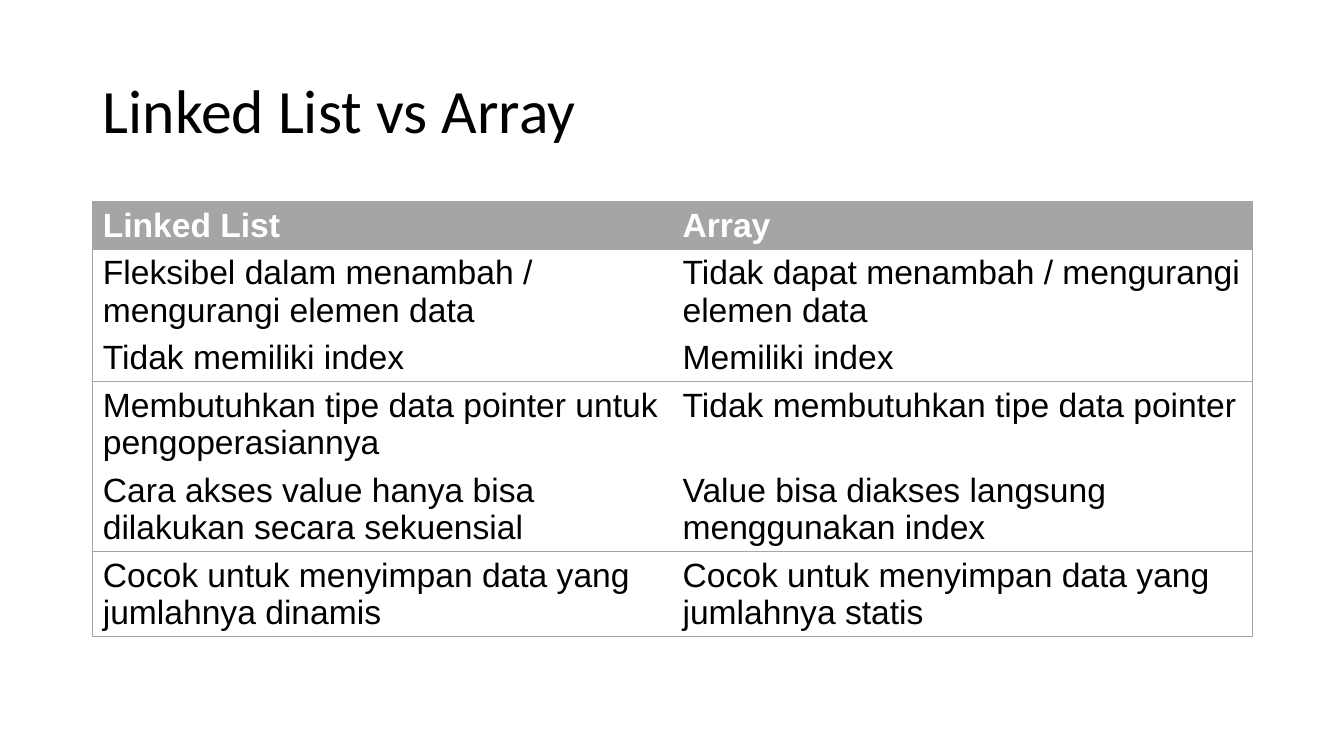
from lxml.etree import SubElement
from pptx import Presentation
from pptx.dml.color import RGBColor
from pptx.enum.text import MSO_ANCHOR, PP_ALIGN
from pptx.oxml.ns import qn
from pptx.util import Inches, Pt

COLORS = {"grey": "A5A5A5", "white": "FFFFFF", "black": "000000"}

ROWS = [
    ("Linked List", "Array"),
    ("Fleksibel dalam menambah / mengurangi elemen data",
     "Tidak dapat menambah / mengurangi elemen data"),
    ("Tidak memiliki index", "Memiliki index"),
    ("Membutuhkan tipe data pointer untuk pengoperasiannya",
     "Tidak membutuhkan tipe data pointer"),
    ("Cara akses value hanya bisa dilakukan secara sekuensial",
     "Value bisa diakses langsung menggunakan index"),
    ("Cocok untuk menyimpan data yang jumlahnya dinamis",
     "Cocok untuk menyimpan data yang jumlahnya statis"),
]


def add_run(paragraph, text, font_name, size, color, bold=False):
    run = paragraph.add_run()
    run.text = text
    run.font.name = font_name
    run.font.size = Pt(size)
    run.font.bold = bold
    run.font.color.rgb = RGBColor.from_string(COLORS[color])


def set_borders(cell, visible_sides):
    properties = cell._tc.get_or_add_tcPr()
    for side in "LRTB":
        line = SubElement(properties, qn(f"a:ln{side}"), w=str(Pt(0.75)))
        if side in visible_sides:
            fill = SubElement(line, qn("a:solidFill"))
            SubElement(fill, qn("a:srgbClr"), val=COLORS["grey"])
        else:
            SubElement(line, qn("a:noFill"))


def add_title(slide, left, top, width, height):
    title = slide.shapes.title
    title.left, title.top, title.width, title.height = left, top, width, height
    frame = title.text_frame
    frame.word_wrap = True
    frame.vertical_anchor = MSO_ANCHOR.MIDDLE
    paragraph = frame.paragraphs[0]
    paragraph.alignment = PP_ALIGN.LEFT
    paragraph.line_spacing = 0.9
    add_run(paragraph, "Linked List vs Array", "Calibri", 44, "black")


def add_comparison_table(slide, left, top, width, height):
    column_count = len(ROWS[0])
    table = slide.shapes.add_table(
        len(ROWS), column_count, left, top, width, height).table
    table.first_row = table.horz_banding = False

    for row_index, texts in enumerate(ROWS):
        is_header = row_index == 0
        for column_index, text in enumerate(texts):
            cell = table.cell(row_index, column_index)

            # Outer frame, plus a rule under the header and every second row
            sides = "L" if column_index == 0 else ""
            if column_index == column_count - 1:
                sides += "R"
            if is_header or row_index % 2 == 1:
                sides += "T"
            if row_index % 2 == 0 or row_index == len(ROWS) - 1:
                sides += "B"
            set_borders(cell, sides)

            if is_header:
                cell.fill.solid()
                cell.fill.fore_color.rgb = RGBColor.from_string(COLORS["grey"])
            else:
                cell.fill.background()
            add_run(cell.text_frame.paragraphs[0], text, "Arial", 24,
                    "white" if is_header else "black", is_header)


def main():
    presentation = Presentation()
    presentation.slide_width = Inches(13.33)
    presentation.slide_height = Inches(7.5)
    slide = presentation.slides.add_slide(presentation.slide_layouts[5])

    # Title
    left, width = Inches(0.92), Inches(11.5)
    add_title(slide, left, Inches(0.4), width, Inches(1.45))

    # Comparison table, whose rows grow to fit their text
    add_comparison_table(slide, left, Inches(2), width, Inches(0.41) * len(ROWS))

    presentation.save("out.pptx")


if __name__ == "__main__":
    main()
